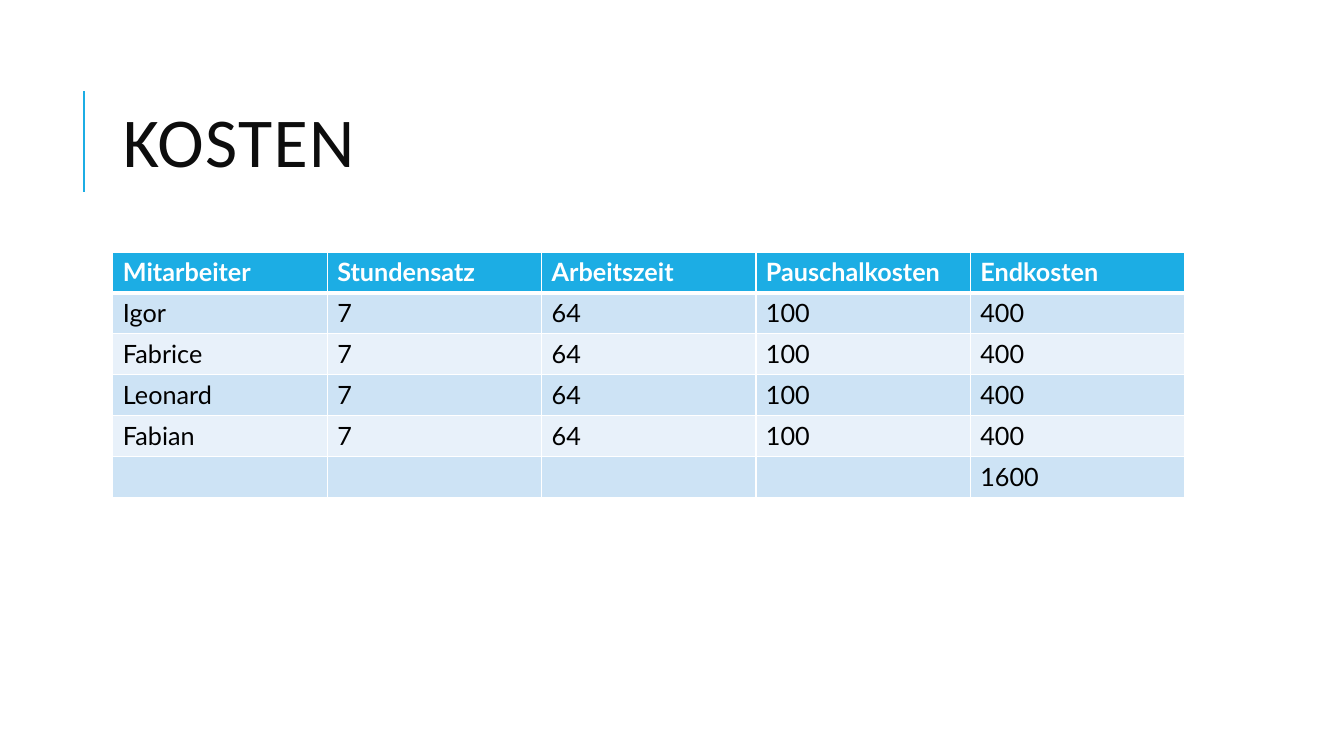
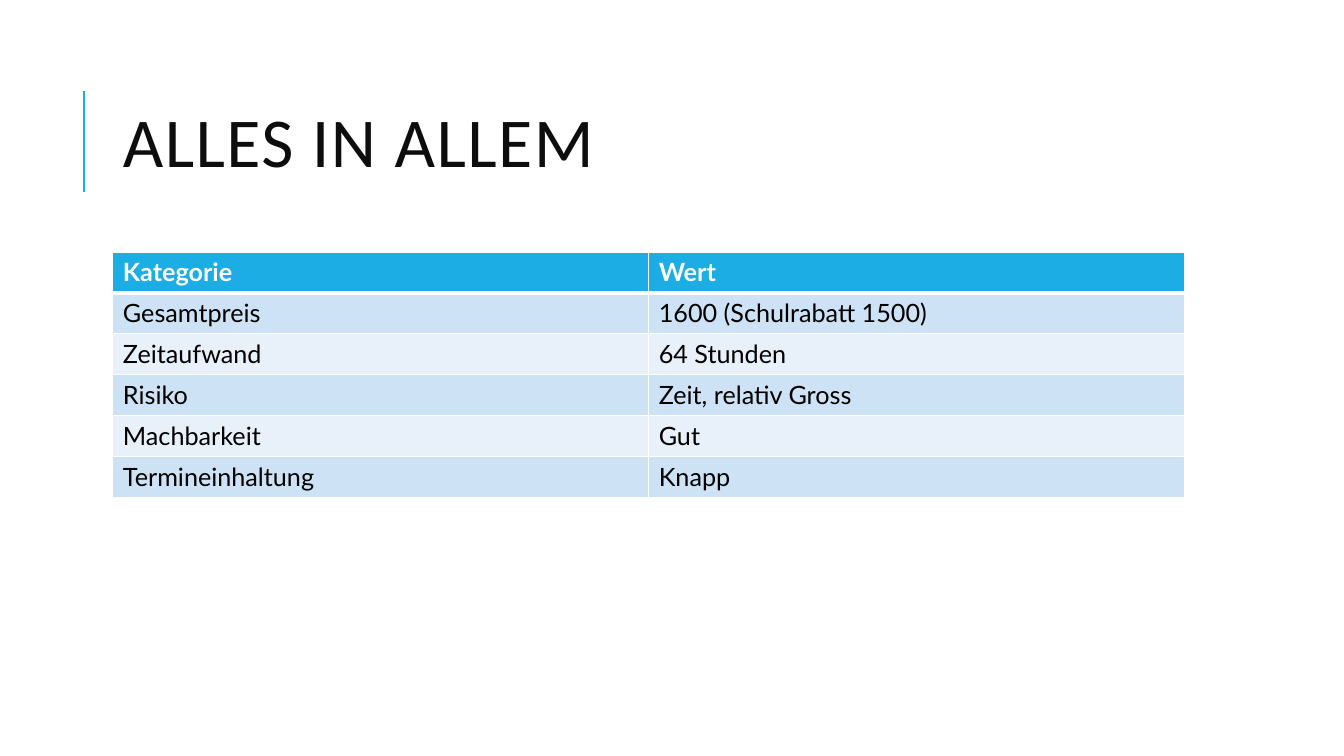
from lxml.etree import SubElement
from pptx import Presentation
from pptx.dml.color import RGBColor
from pptx.enum.shapes import MSO_CONNECTOR
from pptx.enum.text import MSO_ANCHOR, MSO_AUTO_SIZE, PP_ALIGN
from pptx.oxml.ns import qn
from pptx.util import Pt

ACCENT, WHITE, BLACK, TITLE = "1CADE4", "FFFFFF", "000000", "0D0D0D"
BANDS = "CDE3F5", "E8F1FA"
TITLE_FONT, BODY_FONT = "Calibri", "Lato"
LEFT, WIDTH = 80.64, 765.5


def rgb(value):
    return RGBColor.from_string(value)


class Deck:
    def __init__(self):
        self.prs = Presentation()
        self.prs.slide_width, self.prs.slide_height = Pt(960), Pt(540)
        self.slide = None

    def font(self, p, name, size, color, bold=False):
        p.font.name, p.font.size, p.font.bold = name, Pt(size), bold
        p.font.color.rgb = rgb(color)

    def line(self, x1, y1, x2, y2, color, width):
        sp = self.slide.shapes.add_connector(
            MSO_CONNECTOR.STRAIGHT, Pt(x1), Pt(y1), Pt(x2), Pt(y2))
        sp.line.color.rgb = rgb(color)
        sp.line.width = Pt(width)
        SubElement(sp._element.spPr, qn("a:effectLst"))

    def title_slide(self, text):
        self.slide = self.prs.slides.add_slide(self.prs.slide_layouts[5])
        self.line(60, 136.8, 60, 64.8, ACCENT, 1.5)
        sp = self.slide.shapes.title
        sp.left, sp.top, sp.width, sp.height = Pt(LEFT), Pt(46), Pt(WIDTH), Pt(118)
        tf = sp.text_frame
        tf.text = text
        tf.word_wrap = True
        tf.auto_size = MSO_AUTO_SIZE.NONE
        tf.vertical_anchor = MSO_ANCHOR.MIDDLE
        p = tf.paragraphs[0]
        p.alignment = PP_ALIGN.LEFT
        p.line_spacing = 0.8
        self.font(p, TITLE_FONT, 50, TITLE)
        p._p.pPr.find(qn("a:defRPr")).set("spc", "100")

    def borders(self, cell, color, **widths):
        tc_pr = cell._tc.get_or_add_tcPr()
        for side in "LRTB":
            ln = SubElement(tc_pr, qn("a:ln" + side), w=str(Pt(widths.get(side, 1))))
            fill = SubElement(ln, qn("a:solidFill"))
            SubElement(fill, qn("a:srgbClr"), val=color)

    def cell(self, cell, text, row):
        header = row == 0
        self.borders(cell, WHITE, T=3 if row == 1 else 1, B=3 if header else 1)
        cell.fill.solid()
        cell.fill.fore_color.rgb = rgb(ACCENT if header else BANDS[(row - 1) % 2])
        cell.text = text
        self.font(cell.text_frame.paragraphs[0], BODY_FONT, 18,
                  WHITE if header else BLACK, header)

    def table(self, rows, top=180, row_height=29.2):
        table = self.slide.shapes.add_table(
            len(rows), len(rows[0]), Pt(LEFT), Pt(top),
            Pt(WIDTH), Pt(row_height * len(rows))).table
        for r, row in enumerate(rows):
            for c, text in enumerate(row):
                self.cell(table.cell(r, c), text, r)


deck = Deck()

deck.title_slide("KOSTEN")
employees = ["Igor", "Fabrice", "Leonard", "Fabian"]
deck.table([
    ["Mitarbeiter", "Stundensatz", "Arbeitszeit", "Pauschalkosten", "Endkosten"],
    *([name, "7", "64", "100", "400"] for name in employees),
    ["", "", "", "", "1600"],
])

deck.title_slide("ALLES IN ALLEM")
deck.table([
    ["Kategorie", "Wert"],
    ["Gesamtpreis", "1600 (Schulrabatt 1500)"],
    ["Zeitaufwand", "64 Stunden"],
    ["Risiko", "Zeit, relativ Gross"],
    ["Machbarkeit", "Gut"],
    ["Termineinhaltung", "Knapp"],
])

deck.prs.save("out.pptx")
